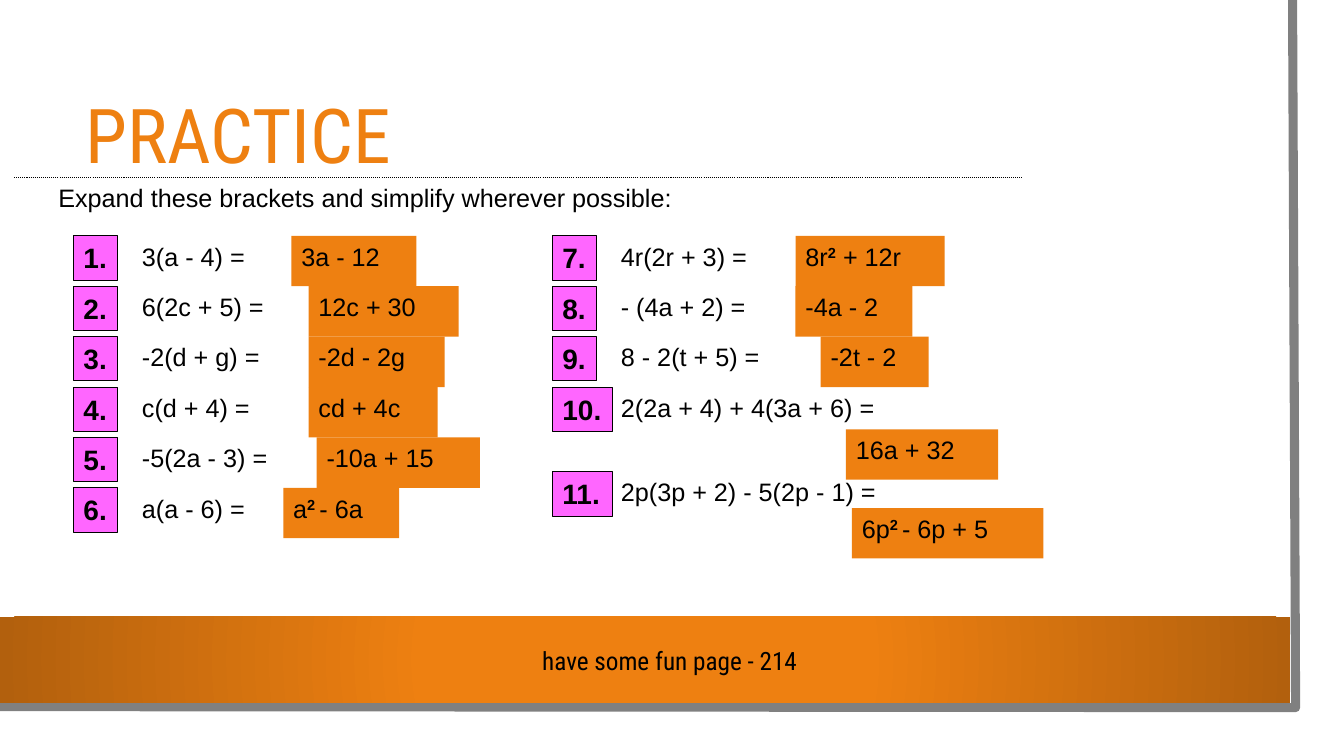
import pptx
import pptx.util
import pptx.dml.color
import pptx.enum.dml
import pptx.enum.shapes
import pptx.enum.text
from lxml import etree

Inches = pptx.util.Inches
Pt = pptx.util.Pt
RECT = pptx.enum.shapes.MSO_SHAPE.RECTANGLE
ANCHOR = pptx.enum.text.MSO_ANCHOR
A = "http://schemas.openxmlformats.org/drawingml/2006/main"

COLORS = {"white": "FFFFFF", "black": "000000", "grey": "808080",
          "orange": "EE8011", "brown": "B2600D", "pink": "FF66FF"}
ROW = 0.5
LINE_H = 0.5
BADGE = 0.44

# number, row offset, badge width, question, answer, answer left, top and width
# (answer positions are relative to the column; ^ encloses a superscript)
LEFT = [
    ("1.", 0, BADGE, "3(a - 4) =", "3a - 12", 2.16, 0, 1.24),
    ("2.", ROW, BADGE, "6(2c + 5) =", "12c + 30", 2.33, ROW, 1.49),
    ("3.", 2 * ROW, BADGE, "-2(d + g) =", "-2d - 2g", 2.33, 2 * ROW, 1.35),
    ("4.", 3 * ROW, BADGE, "c(d + 4) =", "cd + 4c", 2.33, 3 * ROW, 1.28),
    ("5.", 4 * ROW, BADGE, "-5(2a - 3) =", "-10a + 15", 2.41, 4 * ROW, 1.62),
    ("6.", 5 * ROW, BADGE, "a(a - 6) =", "a^2 ^- 6a", 2.08, 5 * ROW, 1.15),
]
RIGHT = [
    ("7.", 0, BADGE, "4r(2r + 3) =", "8r^2^ + 12r", 2.41, 0, 1.48),
    ("8.", ROW, BADGE, "- (4a + 2) =", "-4a - 2", 2.41, ROW, 1.16),
    ("9.", 2 * ROW, BADGE, "8 - 2(t + 5) =", "-2t - 2", 2.66, 2 * ROW, 1.07),
    ("10.", 3 * ROW, 0.6, "2(2a + 4) + 4(3a + 6) =", "16a + 32", 2.91, 1.92, 1.51),
    ("11.", 2.34, 0.6, "2p(3p + 2) - 5(2p - 1) =", "6p^2 ^- 6p + 5", 2.97, 2.7, 1.9),
]


def rgb(name):
    return pptx.dml.color.RGBColor.from_string(COLORS[name])


def write(sp, text, size=18, font="Arial", color="black", bold=False,
          wrap=True, anchor=ANCHOR.TOP):
    tf = sp.text_frame
    tf.word_wrap = wrap
    tf.vertical_anchor = anchor
    p = tf.paragraphs[0]
    p.alignment = pptx.enum.text.PP_ALIGN.LEFT
    for i, part in enumerate(text.split("^")):
        raised = i % 2 == 1
        r = p.add_run()
        r.text = part
        r.font.size = Pt(size)
        r.font.name = font
        r.font.bold = bold or raised
        r.font.color.rgb = rgb(color)
        if raised:
            r._r.get_or_add_rPr().set("baseline", "30000")
    return p


def add_text(shapes, x, y, w, h, text, **style):
    sp = shapes.add_textbox(Inches(x), Inches(y), Inches(w), Inches(h))
    return write(sp, text, **style)


def add_rect(shapes, x, y, w, h, fill, line=None):
    sp = shapes.add_shape(RECT, Inches(x), Inches(y), Inches(w), Inches(h))
    sp.shadow.inherit = False
    sp.fill.solid()
    sp.fill.fore_color.rgb = rgb(fill)
    if line:
        sp.line.color.rgb = rgb(line)
        sp.line.width = Pt(0.75)
    else:
        sp.line.fill.background()
    return sp


def radial_fill(sp, inner, outer):
    sp.fill.gradient()
    grad = sp._element.spPr.find(f"{{{A}}}gradFill")
    new = etree.fromstring(
        f'<a:gradFill xmlns:a="{A}" rotWithShape="1"><a:gsLst>'
        f'<a:gs pos="34000"><a:srgbClr val="{COLORS[inner]}"/></a:gs>'
        f'<a:gs pos="100000"><a:srgbClr val="{COLORS[outer]}"/></a:gs></a:gsLst>'
        '<a:path path="circle"><a:fillToRect l="50000" t="50000" r="50000" b="50000"/>'
        '</a:path></a:gradFill>')
    for child in list(grad):
        grad.remove(child)
    grad.extend(list(new))


def page_frame(s, w, h):
    # White sheet with a grey edge on the right and at the bottom
    add_rect(s.shapes, 0, 0, w, h, "white")
    edge = s.shapes.build_freeform(Inches(w - 0.28), 0, scale=1.0)
    edge.add_line_segments([(Inches(w - 0.25), Inches(h - 0.25)),
                            (Inches(-0.03), Inches(h - 0.26))], close=False)
    sp = edge.convert_to_shape()
    sp.shadow.inherit = False
    sp.fill.background()
    sp.line.color.rgb = rgb("grey")
    sp.line.width = Pt(6.5)


def footer(s, x, y, w, h):
    band = add_rect(s.shapes, x, y, w, h, "orange")
    radial_fill(band, "orange", "brown")
    add_text(s.shapes, x + 5.28, y + 0.23, 5.6, 0.4, "have some fun page - 214",
             font="Roboto Condensed")


def heading(s, x, y, w):
    p = add_text(s.shapes, x + 0.61, y, 11.37, 1.26, "PRACTICE", size=54,
                 font="Roboto Condensed", color="orange", anchor=ANCHOR.MIDDLE)
    p.line_spacing = 0.9
    rule_y = Inches(y + 1.01)
    rule = s.shapes.add_connector(pptx.enum.shapes.MSO_CONNECTOR.STRAIGHT,
                                  Inches(x), rule_y, Inches(x + w), rule_y)
    rule.line.color.rgb = rgb("black")
    rule.line.width = Pt(0.75)
    rule.line.dash_style = pptx.enum.dml.MSO_LINE.ROUND_DOT
    etree.SubElement(rule._element.spPr, f"{{{A}}}effectLst")
    add_text(s.shapes, x + 0.34, y + 1.01, 8.41, LINE_H,
             "Expand these brackets and simplify wherever possible:")


def exercise_column(s, x, y, exercises):
    for number, dy, badge_w, question, answer, ans_x, ans_y, ans_w in exercises:
        # Numbered question
        group = s.shapes.add_group_shape()
        badge = add_rect(group.shapes, x, y + dy, badge_w, BADGE, "pink", "black")
        write(badge, number, size=20, bold=True, wrap=False)
        add_text(group.shapes, x + 0.58, y + dy, 3.57, LINE_H, question)
        # Answer
        box = add_rect(s.shapes, x + ans_x, y + ans_y, ans_w, LINE_H, "orange")
        write(box, answer)


def main():
    prs = pptx.Presentation()
    prs.slide_width = Inches(13.33)
    prs.slide_height = Inches(7.5)
    s = prs.slides.add_slide(prs.slide_layouts[6])
    page_frame(s, 13.1, 7.27)
    footer(s, 0, 6.12, 12.8, 0.85)
    heading(s, 0.14, 0.75, 10)
    exercise_column(s, 0.73, 2.34, LEFT)
    exercise_column(s, 5.48, 2.34, RIGHT)
    prs.save("out.pptx")


if __name__ == "__main__":
    main()
